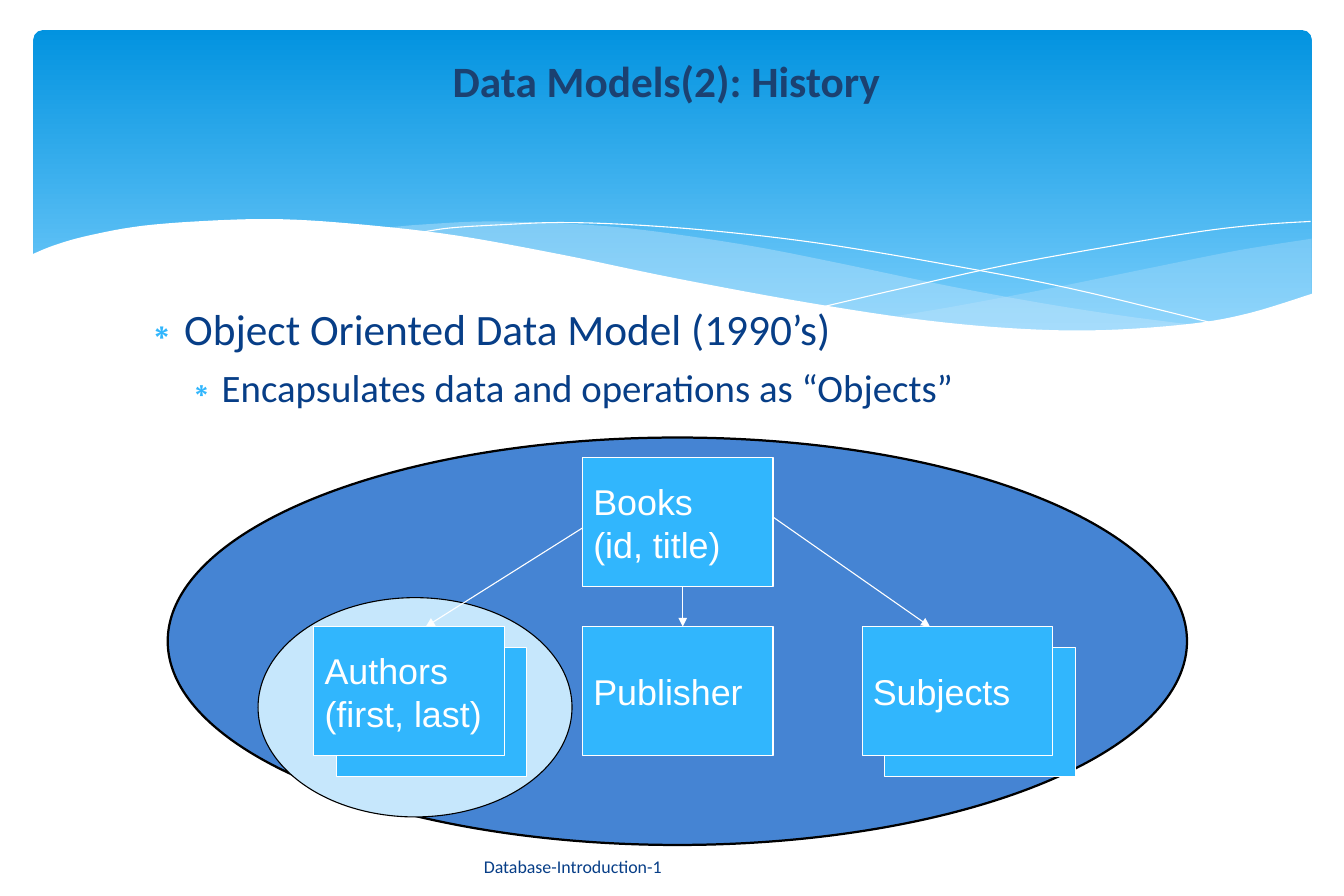
from lxml.etree import SubElement
from pptx import Presentation
from pptx.dml.color import RGBColor
from pptx.enum.shapes import MSO_CONNECTOR as Link, MSO_SHAPE as Kind
from pptx.enum.text import MSO_ANCHOR as Anchor, MSO_AUTO_SIZE as Auto, PP_ALIGN as Align
from pptx.oxml.ns import qn
from pptx.util import Emu, Inches, Pt

WHITE = RGBColor(0xFF, 0xFF, 0xFF)
BLACK = RGBColor(0x00, 0x00, 0x00)
DEEP = RGBColor(0x02, 0x93, 0xE0)
LIGHT = RGBColor(0x83, 0xD3, 0xFE)
PALE = RGBColor(0xC6, 0xE7, 0xFC)
SKY = RGBColor(0x31, 0xB6, 0xFD)
BLUE = RGBColor(0x45, 0x84, 0xD3)
NAVY = RGBColor(0x07, 0x3E, 0x87)
INK = RGBColor(0x1B, 0x41, 0x71)

RIGHT = [
    [(11.89, 1.94), (11.2, 2.05), (10.45, 2.2), (9.42, 2.41), (8.51, 2.58), (7.96, 2.67)],
    [(7.96, 2.67), (8.67, 2.75), (9.3, 2.79), (9.86, 2.8), (10.48, 2.78),
     (11.01, 2.71), (11.47, 2.6), (11.89, 2.46)],
]
MIDDLE = [
    [(10.85, 2.75), (10.15, 2.66), (9.38, 2.54), (8.51, 2.38), (7.55, 2.18), (6.8, 2.03),
     (6.12, 1.92), (5.5, 1.84), (4.94, 1.8), (4.21, 1.78), (3.6, 1.81), (3.27, 1.84)],
    [(3.27, 1.84), (3.97, 1.93), (4.74, 2.06), (5.31, 2.18), (6.31, 2.39), (7.21, 2.56),
     (8.01, 2.68), (8.72, 2.76), (9.35, 2.8), (9.91, 2.81), (10.41, 2.79), (10.85, 2.75)],
]
FALL = [[(3.56, 1.89), (3.88, 1.84), (4.37, 1.81), (4.89, 1.79), (5.55, 1.81),
         (6.35, 1.87), (7.29, 1.98), (8.38, 2.16), (9.63, 2.4), (11.03, 2.74)]]
RISE = [[(7.36, 2.57), (8.09, 2.4), (9.03, 2.19), (10.14, 1.99),
         (10.88, 1.87), (11.41, 1.81), (11.88, 1.78)]]
FRONT = [
    [(11.9, 2.45), (11.32, 2.63), (10.78, 2.73), (9.98, 2.79), (9.21, 2.78), (8.3, 2.7),
     (7.23, 2.54), (5.98, 2.31), (4.92, 2.09), (3.93, 1.91), (3.07, 1.81), (2.33, 1.76),
     (1.7, 1.77), (1.02, 1.82), (0.52, 1.91), (0.2, 2), (-0.02, 2.09)],
    [(-0.02, 3.38), (11.9, 3.38)],
]


def place(shape, box):
    shape.left, shape.top, shape.width, shape.height = map(Inches, box)


def style(font, size, color, name="Calibri", bold=False):
    font.size, font.name, font.bold = Pt(size), name, bold
    font.color.rgb = color


def inset(frame):
    frame.word_wrap = True
    frame.auto_size = Auto.NONE
    frame.margin_left = frame.margin_right = Inches(0.12)
    frame.margin_top = frame.margin_bottom = Inches(0.06)


def smooth(knots, steps=6):
    ends = [knots[0], *knots, knots[-1]]
    dots = [knots[0]]
    for a, b, c, d in zip(ends, ends[1:], ends[2:], ends[3:]):
        for step in range(1, steps + 1):
            t = step / steps
            dots.append(tuple(
                (2 * q + (r - p) * t + (2 * p - 5 * q + 4 * r - s) * t ** 2
                 + (3 * q - p - 3 * r + s) * t ** 3) / 2
                for p, q, r, s in zip(a, b, c, d)))
    return dots


def wave(slide, box, runs, fill=None, alpha=None):
    dots = [(Inches(box[0] + x), Inches(box[1] + y)) for run in runs for x, y in smooth(run)]
    pen = slide.shapes.build_freeform(*dots[0])
    pen.add_line_segments(dots[1:], close=fill is not None)
    shape = pen.convert_to_shape()
    shape.shadow.inherit = False
    if fill is None:
        shape.fill.background()
        shape.line.color.rgb = WHITE
        shape.line.width = Pt(0)
        return
    shape.line.fill.background()
    shape.fill.solid()
    shape.fill.fore_color.rgb = fill
    if alpha:
        tint = shape.element.xpath(".//a:srgbClr")[0]
        SubElement(tint, qn("a:alpha")).set("val", str(alpha * 1000))


def banner(slide, box):
    panel = slide.shapes.add_shape(Kind.ROUNDED_RECTANGLE, *map(Inches, box))
    panel.adjustments[0] = 0.03
    panel.shadow.inherit = False
    panel.line.fill.background()
    panel.fill.gradient()
    panel.fill.gradient_angle = 270
    for stop, color, spot in zip(panel.fill.gradient_stops, (DEEP, LIGHT), (0, 1)):
        stop.color.rgb, stop.position = color, spot
    wave(slide, box, RIGHT, PALE, 29)
    wave(slide, box, MIDDLE, PALE, 40)
    wave(slide, box, FALL)
    wave(slide, box, RISE)
    wave(slide, box, FRONT, WHITE)


def raise_top(shape):
    shape.element.getparent().append(shape.element)


def heading(slide, box):
    title = slide.shapes.title
    raise_top(title)
    place(title, box)
    frame = title.text_frame
    frame.text = "Data Models(2): History"
    inset(frame)
    frame.vertical_anchor = Anchor.MIDDLE
    line = frame.paragraphs[0]
    line.alignment = Align.CENTER
    style(line.runs[0].font, 29, INK, bold=True)


def points(slide, box):
    body = slide.placeholders[1]
    raise_top(body)
    place(body, box)
    frame = body.text_frame
    frame.text = "Object Oriented Data Model (1990’s)\nEncapsulates data and operations as “Objects”"
    inset(frame)
    frame.vertical_anchor = Anchor.TOP
    looks = [(29, 0.36, 0), (26, 0.75, 6.5)]
    for level, (line, (size, left, gap)) in enumerate(zip(frame.paragraphs, looks)):
        line.level = level
        line.space_before = Pt(gap)
        props = line._p.get_or_add_pPr()
        props.set("marL", str(Inches(left)))
        props.set("indent", str(Inches(-0.36)))
        tint = SubElement(props, qn("a:buClr"))
        SubElement(tint, qn("a:srgbClr")).set("val", str(SKY))
        SubElement(props, qn("a:buChar")).set("char", "∗")
        style(line.runs[0].font, size, NAVY)


def block(slide, kind, box, fill, edge, width=0.75, text=""):
    shape = slide.shapes.add_shape(kind, *map(Inches, box))
    shape.shadow.inherit = False
    shape.fill.solid()
    shape.fill.fore_color.rgb = fill
    shape.line.color.rgb = edge
    shape.line.width = Pt(width)
    if text:
        frame = shape.text_frame
        frame.text = text
        frame.vertical_anchor = Anchor.MIDDLE
        for line in frame.paragraphs:
            line.alignment = Align.LEFT
            style(line.runs[0].font, 24, WHITE, "Arial")


def arrow(slide, start, end):
    line = slide.shapes.add_connector(Link.STRAIGHT, *map(Inches, (*start, *end)))
    line.line.color.rgb = WHITE
    line.line.width = Pt(0.75)
    SubElement(line.line._get_or_add_ln(), qn("a:tailEnd")).set("type", "triangle")
    SubElement(line.element.spPr, qn("a:effectLst"))


def model(slide, box):
    left, top, width, height = box
    wide, high = 1.77, 1.2
    mid, row, deck = left + 3.86, top + 1.76, top + 0.19
    block(slide, Kind.OVAL, box, BLUE, BLACK, 1.5)
    block(slide, Kind.OVAL, (left + 0.84, top + 1.49, 2.92, 2.04), PALE, BLACK)
    cards = [
        (mid, deck, "Books\n(id, title)", False),
        (mid, row, "Publisher", False),
        (mid + 2.6, row, "Subjects", True),
        (mid - 2.5, row, "Authors\n(first, last)", True),
    ]
    for x, y, text, stack in cards:
        if stack:
            block(slide, Kind.RECTANGLE, (x + 0.21, y + 0.19, wide, high), SKY, WHITE)
        block(slide, Kind.RECTANGLE, (x, y, wide, high), SKY, WHITE, text=text)
    arrow(slide, (mid, deck + 0.65), (mid - 1.46, row))
    arrow(slide, (mid + 0.93, deck + high), (mid + 0.93, row))
    arrow(slide, (mid + wide, deck + 0.55), (mid + wide + 1.46, row))


def footer(slide, box):
    frame = slide.shapes.add_textbox(*map(Inches, box)).text_frame
    frame.text = "Database-Introduction-1"
    inset(frame)
    frame.vertical_anchor = Anchor.MIDDLE
    style(frame.paragraphs[0].runs[0].font, 12, NAVY)


def main():
    deck = Presentation()
    deck.slide_width = Inches(12.5)
    deck.slide_height = Emu(7621588)
    slide = deck.slides.add_slide(deck.slide_layouts[1])
    banner(slide, (0.31, 0.28, 11.89, 3))
    points(slide, (1.19, 2.75, 10.13, 4.69))
    footer(slide, (4.38, 7.78, 3.96, 0.56))
    heading(slide, (0.94, 0.42, 10.52, 0.65))
    model(slide, (1.56, 4.07, 9.48, 3.79))
    deck.save("out.pptx")


if __name__ == "__main__":
    main()
